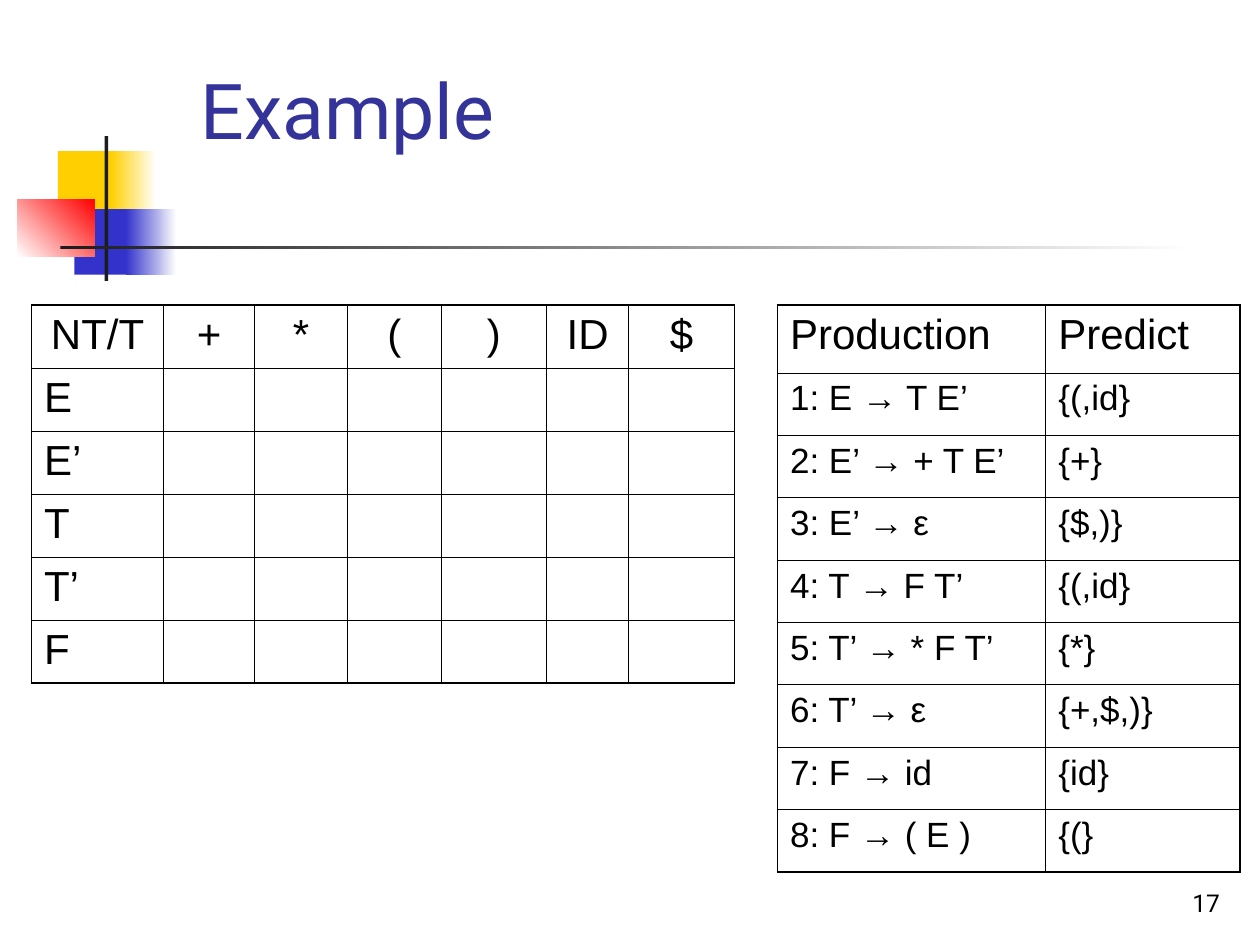
"""Build the parse table exercise slide with its grammar's predict sets."""
import pptx
import pptx.dml.color
import pptx.enum.shapes
import pptx.enum.text
import pptx.oxml
import pptx.oxml.ns
import pptx.util

Inches = pptx.util.Inches
Align = pptx.enum.text.PP_ALIGN
Anchor = pptx.enum.text.MSO_ANCHOR

THEME = {
    "black": "000000", "white": "FFFFFF", "title": "333399", "yellow": "FFCF01",
    "blue": "3333CC", "red": "FF0000", "rule": "1C1C1C",
    "heading_font": "Roboto", "table_font": "Arial",
    "title_size": 44, "large": 24, "medium": 20, "number_size": 14,
    "outer_line": 1.08, "inner_line": 0.45,
}

TITLE = {"text": "Example", "at": (1.49, 0.28, 8.05, 1.17)}
PAGE_NUMBER = {"text": "17", "at": (7.7, 6.83, 2.08, 0.5)}

ORNAMENTS = [
    ((0.46, 1.2, 0.48, 0.52), ["yellow"], 0),
    ((0.88, 1.2, 0.36, 0.52), ["yellow", "white"], 0),
    ((0.59, 1.66, 0.46, 0.52), ["blue"], 0),
    ((1, 1.66, 0.4, 0.52), ["blue", "white"], 0),
    ((0.14, 1.58, 0.61, 0.46), ["white", "red"], 45),
    ((0.83, 1.08, 0.03, 1.15), ["rule"], 0),
    ((0.48, 1.95, 9, 0.03), ["rule", "white"], 0),
]

TERMINALS = ["+", "*", "(", ")", "ID", "$"]
NONTERMINALS = ["E", "E’", "T", "T’", "F"]
PREDICT_SETS = [
    ("1: E → T E’", "{(,id}"),
    ("2: E’ → + T E’", "{+}"),
    ("3: E’ → ε", "{$,)}"),
    ("4: T → F T’", "{(,id}"),
    ("5: T’ → * F T’", "{*}"),
    ("6: T’ → ε", "{+,$,)}"),
    ("7: F → id", "{id}"),
    ("8: F → ( E )", "{(}"),
]

TABLES = [
    {
        "rows": [["NT/T", *TERMINALS]] + [[name] + [""] * len(TERMINALS) for name in NONTERMINALS],
        "left": 0.25, "top": 2.42, "height": 3, "header_height": 0.5,
        "widths": [1.05, 0.72, 0.74, 0.74, 0.84, 0.65, 0.84],
        "header_align": Align.CENTER, "body_size": "large",
    },
    {
        "rows": [("Production", "Predict"), *PREDICT_SETS],
        "left": 6.17, "top": 2.42, "height": 4.5, "header_height": 0.54,
        "widths": [2.13, 1.54],
        "header_align": Align.LEFT, "body_size": "medium",
    },
]


def color(name):
    return pptx.dml.color.RGBColor.from_string(THEME[name])


def apply(target, formats):
    for name, value in formats.items():
        setattr(target, name, value)


def write(frame, text, font, size, ink="black", align=Align.LEFT):
    para = frame.paragraphs[0]
    para.alignment = align
    span = para.add_run()
    span.text = text
    apply(span.font, {"name": THEME[font], "size": pptx.util.Pt(THEME[size]), "bold": False})
    span.font.color.rgb = color(ink)


def add_ornament(page, at, inks, angle):
    box = page.shapes.add_shape(pptx.enum.shapes.MSO_SHAPE.RECTANGLE, *map(Inches, at))
    box.shadow.inherit = False
    box.line.fill.background()
    if len(inks) == 1:
        box.fill.solid()
        box.fill.fore_color.rgb = color(inks[0])
        return
    box.fill.gradient()
    box.fill.gradient_angle = angle
    for stop, ink in zip(box.fill.gradient_stops, inks):
        stop.color.rgb = color(ink)


def add_borders(cell, outer_edges):
    properties = cell._tc.get_or_add_tcPr()
    for edge, is_outer in outer_edges.items():
        width = pptx.util.Pt(THEME["outer_line" if is_outer else "inner_line"])
        properties.append(pptx.oxml.parse_xml(
            f'<a:ln{edge} {pptx.oxml.ns.nsdecls("a")} w="{int(width)}">'
            f'<a:solidFill><a:srgbClr val="{THEME["black"]}"/></a:solidFill></a:ln{edge}>'
        ))


def add_grid(page, grid):
    rows, widths = grid["rows"], grid["widths"]
    last_row, last_column = len(rows) - 1, len(widths) - 1
    frame = page.shapes.add_table(
        len(rows), len(widths),
        *map(Inches, (grid["left"], grid["top"], sum(widths), grid["height"])),
    )
    table = frame.table
    apply(table, {"first_row": False, "horz_banding": False})
    for column, width in zip(table.columns, widths):
        column.width = Inches(width)
    body_height = (grid["height"] - grid["header_height"]) / last_row
    for r, texts in enumerate(rows):
        table.rows[r].height = Inches(body_height if r else grid["header_height"])
        for c, text in enumerate(texts):
            cell = table.cell(r, c)
            add_borders(cell, {"L": c == 0, "R": c == last_column, "T": r == 0, "B": r == last_row})
            cell.fill.background()
            if text:
                write(cell.text_frame, text, "table_font", grid["body_size"] if r else "large",
                      align=Align.LEFT if r else grid["header_align"])


def main():
    deck = pptx.Presentation()
    apply(deck, {"slide_width": Inches(10), "slide_height": Inches(7.5)})
    page = deck.slides.add_slide(deck.slide_layouts[5])

    for ornament in ORNAMENTS:
        add_ornament(page, *ornament)

    title = page.shapes.title
    apply(title, dict(zip(("left", "top", "width", "height"), map(Inches, TITLE["at"]))))
    apply(title.text_frame, {"vertical_anchor": Anchor.MIDDLE, "word_wrap": True})
    write(title.text_frame, TITLE["text"], "heading_font", "title_size", "title")

    number = page.shapes.add_textbox(*map(Inches, PAGE_NUMBER["at"]))
    apply(number.text_frame, {"vertical_anchor": Anchor.BOTTOM, "word_wrap": True})
    write(number.text_frame, PAGE_NUMBER["text"], "heading_font", "number_size", align=Align.RIGHT)

    for grid in TABLES:
        add_grid(page, grid)

    deck.save("out.pptx")


if __name__ == "__main__":
    main()
